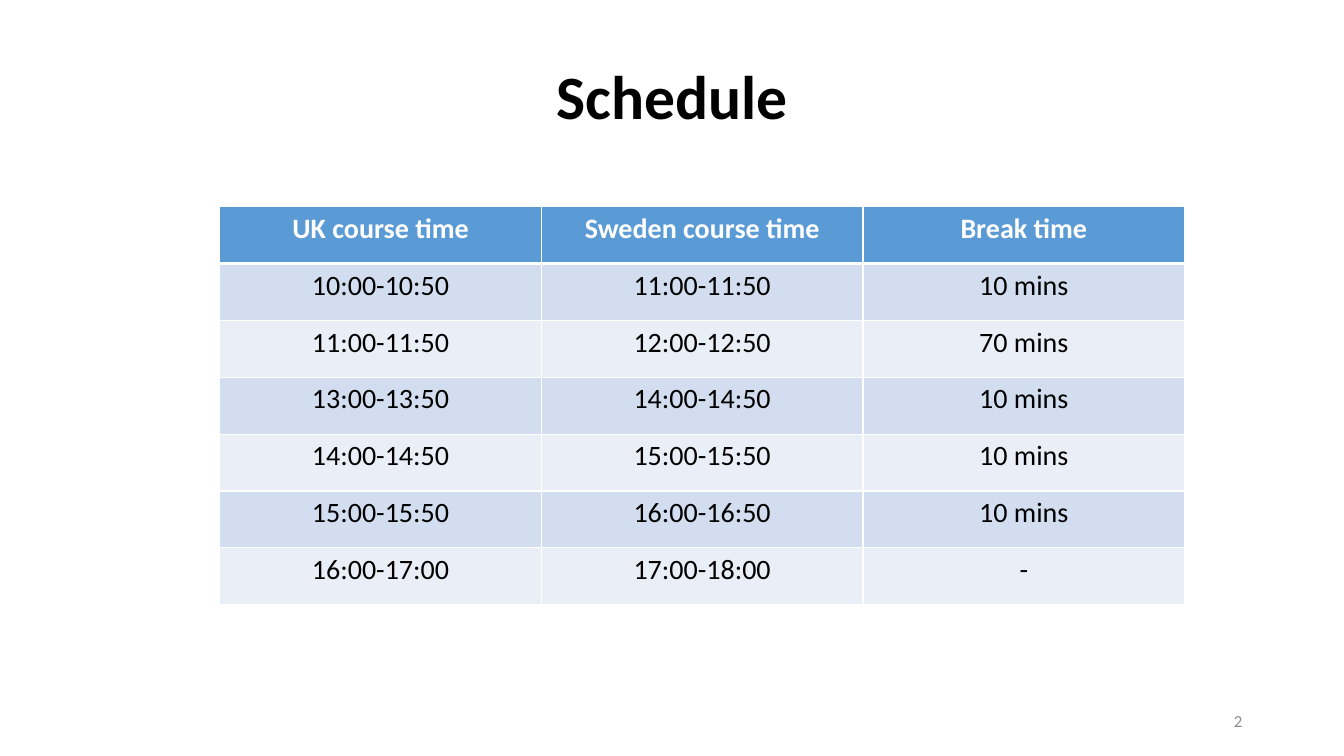
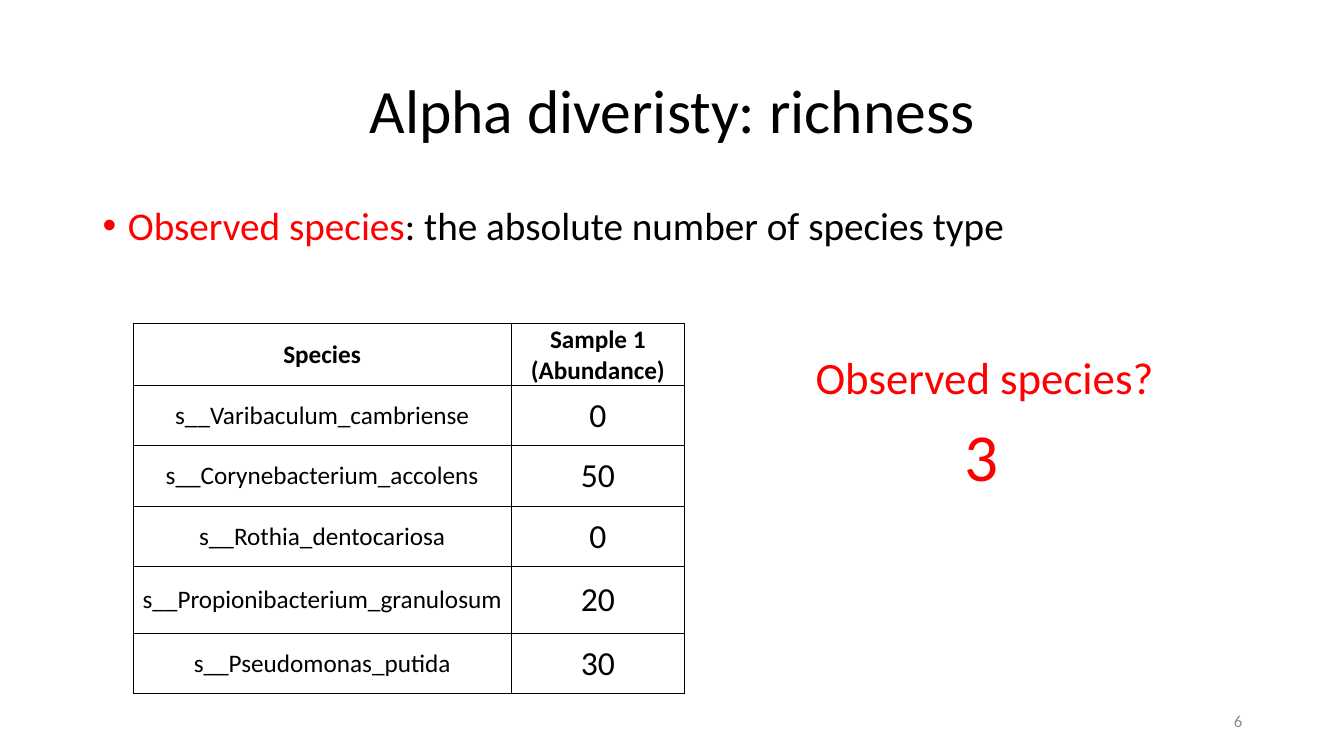
import pptx
import pptx.dml.color
import pptx.enum.text
import pptx.oxml.ns
import pptx.util
from lxml import etree

Inches = pptx.util.Inches
Pt = pptx.util.Pt
ALIGN = pptx.enum.text.PP_ALIGN
ANCHOR = pptx.enum.text.MSO_ANCHOR

FONT = "Calibri"
COLORS = {
    "text": "000000",
    "accent": "FF0000",
    "muted": "8C8C8C",
    "white": "FFFFFF",
    "header": "5B9BD5",
    "band_dark": "D2DEEF",
    "band_light": "EAEFF7",
}
SCHEDULE = [
    ("UK course time", "Sweden course time", "Break time"),
    ("10:00-10:50", "11:00-11:50", "10 mins"),
    ("11:00-11:50", "12:00-12:50", "70 mins"),
    ("13:00-13:50", "14:00-14:50", "10 mins"),
    ("14:00-14:50", "15:00-15:50", "10 mins"),
    ("15:00-15:50", "16:00-16:50", "10 mins"),
    ("16:00-17:00", "17:00-18:00", "-"),
]
ABUNDANCE = [
    ("Species", "Sample 1\n(Abundance)"),
    ("s__Varibaculum_cambriense", "0"),
    ("s__Corynebacterium_accolens", "50"),
    ("s__Rothia_dentocariosa", "0"),
    ("s__Propionibacterium_granulosum", "20"),
    ("s__Pseudomonas_putida", "30"),
]


def rgb(name):
    return pptx.dml.color.RGBColor.from_string(COLORS[name])


def add_element(parent, tag, **attributes):
    return etree.SubElement(parent, pptx.oxml.ns.qn(tag), attributes)


def add_bullet(para, indent):
    properties = para._p.get_or_add_pPr()
    properties.set("marL", str(indent))
    properties.set("indent", str(-indent))
    add_element(properties, "a:buFont", typeface="Arial")
    add_element(properties, "a:buChar", char="•")


def write_text(frame, text, size=18, color="text", bold=False,
               align=ALIGN.LEFT, line_spacing=None, bullet=False):
    spans_by_line = [[(line, color)] for line in text.split("\n")] if isinstance(text, str) else [text]
    for index, spans in enumerate(spans_by_line):
        para = frame.add_paragraph() if index else frame.paragraphs[0]
        para.alignment = align
        if bullet:
            add_bullet(para, Inches(0.25))
        if line_spacing:
            para.line_spacing = line_spacing
        for words, span_color in spans:
            span = para.add_run()
            span.text = words
            span.font.name = FONT
            span.font.size = Pt(size)
            span.font.bold = bold
            span.font.color.rgb = rgb(span_color)


def add_text(page, text, left, top, width, height, anchor=ANCHOR.TOP, **style):
    box = page.shapes.add_textbox(Inches(left), Inches(top), Inches(width), Inches(height))
    box.text_frame.word_wrap = True
    box.text_frame.vertical_anchor = anchor
    write_text(box.text_frame, text, **style)


def add_page(deck, title, number, title_top, title_bold=False):
    page = deck.slides.add_slide(deck.slide_layouts[6])
    add_text(page, title, 0.92, title_top, 11.5, 1.45, anchor=ANCHOR.MIDDLE,
             size=44, bold=title_bold, align=ALIGN.CENTER, line_spacing=0.9)
    add_text(page, number, 9.42, 6.95, 3, 0.4, anchor=ANCHOR.MIDDLE,
             size=12, color="muted", align=ALIGN.RIGHT)
    return page


def set_borders(cell, color, widths):
    properties = cell._tc.get_or_add_tcPr()
    for side in ("L", "R", "T", "B"):
        line = add_element(properties, f"a:ln{side}", w=str(Pt(widths[side])))
        fill = add_element(line, "a:solidFill")
        add_element(fill, "a:srgbClr", val=COLORS[color])


def add_table(page, rows, left, top, column_widths, row_heights, format_cell):
    frame = page.shapes.add_table(
        len(rows), len(column_widths), Inches(left), Inches(top),
        Inches(sum(column_widths)), Inches(sum(row_heights)))
    table = frame.table
    table.first_row = table.horz_banding = False
    for column, width in zip(table.columns, column_widths):
        column.width = Inches(width)
    for row_index, (row, height) in enumerate(zip(rows, row_heights)):
        table.rows[row_index].height = Inches(height)
        for column_index, text in enumerate(row):
            format_cell(table.cell(row_index, column_index), text, row_index, column_index)


def format_schedule_cell(cell, text, row, column):
    is_header = row == 0
    set_borders(cell, "white", {"L": 1, "R": 1, "T": 3 if row == 1 else 1, "B": 3 if is_header else 1})
    cell.fill.solid()
    cell.fill.fore_color.rgb = rgb("header" if is_header else "band_dark" if row % 2 else "band_light")
    write_text(cell.text_frame, text, size=20, bold=is_header,
               color="white" if is_header else "text", align=ALIGN.CENTER)


def format_abundance_cell(cell, text, row, column):
    set_borders(cell, "text", dict.fromkeys("LRTB", 0.5))
    cell.fill.background()
    cell.vertical_anchor = ANCHOR.MIDDLE
    cell.margin_left = cell.margin_right = cell.margin_top = Inches(0.01)
    cell.margin_bottom = 0
    write_text(cell.text_frame, text, size=24 if row and column else 18,
               bold=row == 0, align=ALIGN.CENTER)


def build_schedule(deck):
    page = add_page(deck, "Schedule", "2", title_top=0.26, title_bold=True)
    add_table(page, SCHEDULE, 2.18, 2.05, [3.19] * 3, [3.95 / len(SCHEDULE)] * len(SCHEDULE),
              format_schedule_cell)


def build_richness(deck):
    page = add_page(deck, "Alpha diveristy: richness", "6", title_top=0.4)
    definition = [("Observed species", "accent"),
                  (": the absolute number of species type", "text")]
    add_text(page, definition, 0.92, 2, 11.5, 0.62, size=28, line_spacing=0.9, bullet=True)
    add_table(page, ABUNDANCE, 1.32, 3.21, [3.75, 1.72], [0.6, 0.6, 0.6, 0.6, 0.66, 0.6],
              format_abundance_cell)
    add_text(page, "Observed species?", 7.99, 3.42, 3.92, 0.64, size=32, color="accent")
    add_text(page, "3", 7.77, 4.06, 3.92, 0.91, size=48, color="accent", align=ALIGN.CENTER)


def main():
    deck = pptx.Presentation()
    deck.slide_width = Inches(13.33)
    deck.slide_height = Inches(7.5)
    build_schedule(deck)
    build_richness(deck)
    deck.save("out.pptx")


if __name__ == "__main__":
    main()
